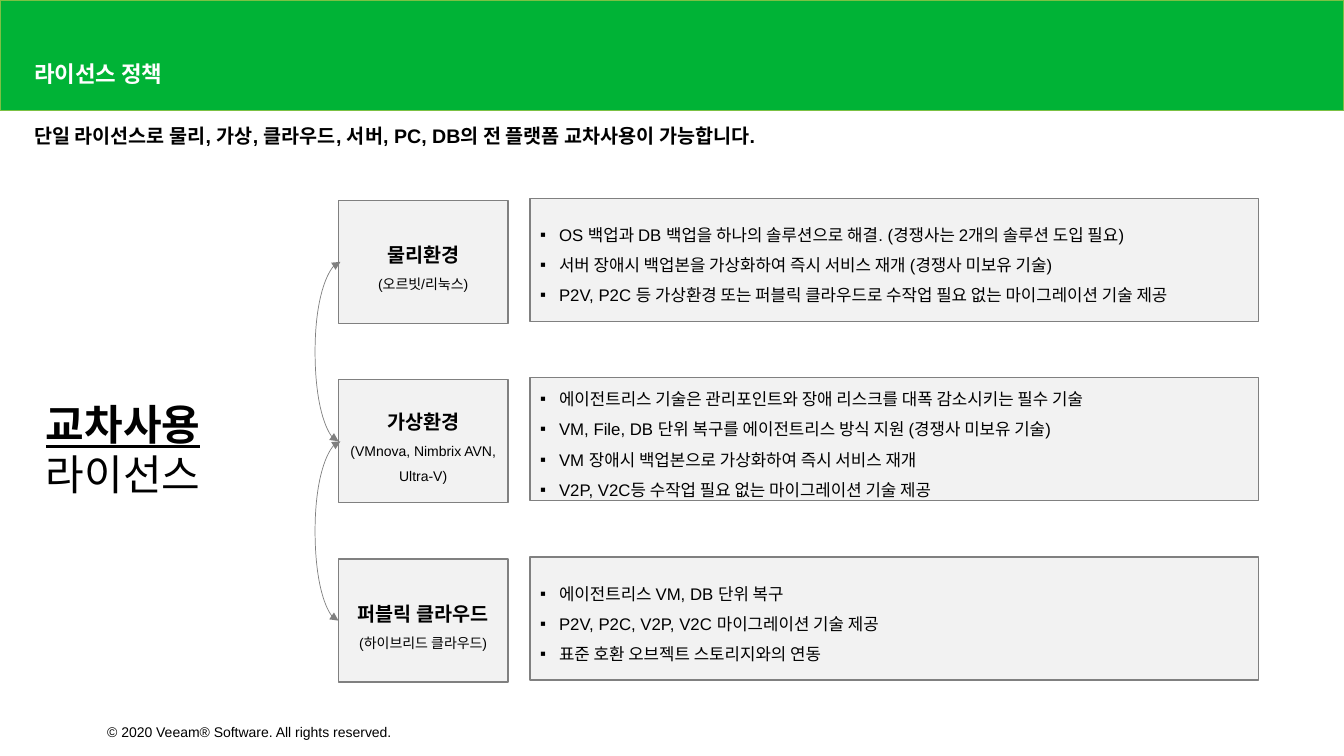
from dataclasses import dataclass

from lxml import etree
from pptx import Presentation
from pptx.dml.color import RGBColor
from pptx.enum import shapes, text
from pptx.oxml import ns
from pptx.util import Cm, Pt


@dataclass(frozen=True)
class Theme:
    font: str = "Arial"
    black: RGBColor = RGBColor(0, 0, 0)
    white: RGBColor = RGBColor(255, 255, 255)
    green: RGBColor = RGBColor(0x00, 0xB3, 0x36)
    lime: RGBColor = RGBColor(0x7B, 0xC1, 0x44)
    panel: RGBColor = RGBColor(0xF2, 0xF2, 0xF2)
    gray: RGBColor = RGBColor(0x80, 0x80, 0x80)
    hero: int = 30
    title: int = 16
    heading: int = 14
    body: int = 12
    small: int = 10


THEME = Theme()

ENVIRONMENTS = [
    ("물리환경", "(오르빗/리눅스)", [
        "OS 백업과 DB 백업을 하나의 솔루션으로 해결. (경쟁사는 2개의 솔루션 도입 필요)",
        "서버 장애시 백업본을 가상화하여 즉시 서비스 재개 (경쟁사 미보유 기술)",
        "P2V, P2C 등 가상환경 또는 퍼블릭 클라우드로 수작업 필요 없는 마이그레이션 기술 제공",
    ]),
    ("가상환경", "(VMnova, Nimbrix AVN, Ultra-V)", [
        "에이전트리스 기술은 관리포인트와 장애 리스크를 대폭 감소시키는 필수 기술",
        "VM, File, DB 단위 복구를 에이전트리스 방식 지원 (경쟁사 미보유 기술)",
        "VM 장애시 백업본으로 가상화하여 즉시 서비스 재개",
        "V2P, V2C등 수작업 필요 없는 마이그레이션 기술 제공",
    ]),
    ("퍼블릭 클라우드", "(하이브리드 클라우드)", [
        "에이전트리스 VM, DB 단위 복구",
        "P2V, P2C, V2P, V2C 마이그레이션 기술 제공",
        "표준 호환 오브젝트 스토리지와의 연동",
    ]),
]

ROW_PITCH = 4.52
ROW_HEIGHT = 3.1
LABEL_LEFT, LABEL_TOP, LABEL_WIDTH = 8.53, 5.05, 4.27
DETAIL_LEFT, DETAIL_TOP, DETAIL_WIDTH = 13.36, 5.0, 18.36
LINK_SPAN, LINK_REACH = 0.05, 0.64


def add_child(parent, tag, **attributes):
    return etree.SubElement(parent, ns.qn(tag), attributes)


def add_span(para, words, size, color=THEME.black, bold=False, underline=False):
    span = para.add_run()
    span.text = words
    font = span.font
    font.name, font.size = THEME.font, Pt(size)
    font.color.rgb = color
    font.bold, font.underline = bold, underline


def add_panel(page, left, top, width, height, fill, line):
    panel = page.shapes.add_shape(shapes.MSO_SHAPE.RECTANGLE,
                                  Cm(left), Cm(top), Cm(width), Cm(height))
    panel.shadow.inherit = False
    panel.fill.solid()
    panel.fill.fore_color.rgb = fill
    panel.line.color.rgb = line
    panel.line.width = Pt(1)
    frame = panel.text_frame
    frame.word_wrap = True
    frame.vertical_anchor = text.MSO_ANCHOR.MIDDLE
    return frame


def add_text(page, left, top, width, height, wrap=True, anchor=text.MSO_ANCHOR.TOP):
    """Add a text box and return its first paragraph."""
    box = page.shapes.add_textbox(Cm(left), Cm(top), Cm(width), Cm(height))
    box.text_frame.word_wrap = wrap
    box.text_frame.vertical_anchor = anchor
    return box.text_frame.paragraphs[0]


def next_para(frame, index, align):
    para = frame.add_paragraph() if index else frame.paragraphs[0]
    para.alignment = align
    para.line_spacing = 1.5
    return para


def add_label(page, top, name, note):
    frame = add_panel(page, LABEL_LEFT, top, LABEL_WIDTH, ROW_HEIGHT,
                      THEME.panel, THEME.gray)
    lines = [(name, THEME.heading, True), (note, THEME.small, False)]
    for index, (words, size, bold) in enumerate(lines):
        para = next_para(frame, index, text.PP_ALIGN.CENTER)
        add_span(para, words, size, bold=bold)


def add_details(page, top, points):
    frame = add_panel(page, DETAIL_LEFT, top, DETAIL_WIDTH, ROW_HEIGHT,
                      THEME.panel, THEME.gray)
    indent = Cm(0.48)
    for index, words in enumerate(points):
        para = next_para(frame, index, text.PP_ALIGN.LEFT)
        props = para._p.get_or_add_pPr()
        props.set("marL", str(int(indent)))
        props.set("indent", str(-int(indent)))
        add_child(props, "a:buFont", typeface=THEME.font)
        add_child(props, "a:buChar", char="▪")
        add_span(para, words, THEME.body)


def add_link(page, top):
    """Add a two-headed curve bulging left between two neighbouring labels."""
    link = page.shapes.add_connector(
        shapes.MSO_CONNECTOR.CURVE, Cm(LABEL_LEFT), Cm(top + ROW_PITCH),
        Cm(LABEL_LEFT + LINK_SPAN), Cm(top))
    link.line.color.rgb = THEME.gray
    link.line.width = Pt(0.5)
    props = link._element.spPr
    props.find(ns.qn("a:xfrm")).set("rot", "10800000")
    guides = props.find(ns.qn("a:prstGeom")).get_or_add_avLst()
    bulge = round(LINK_REACH / LINK_SPAN * 100000)
    add_child(guides, "a:gd", name="adj1", fmla=f"val {bulge}")
    line = link.line._get_or_add_ln()
    for end in ("a:headEnd", "a:tailEnd"):
        add_child(line, end, type="triangle")
    add_child(props, "a:effectLst")


def main():
    deck = Presentation()
    deck.slide_width, deck.slide_height = Cm(33.87), Cm(19.05)
    page = deck.slides.add_slide(deck.slide_layouts[6])

    add_panel(page, 0, 0, 33.87, 2.79, THEME.green, THEME.lime)
    footer = add_text(page, 2.34, 18.11, 7.77, 0.69, wrap=False)
    footer.alignment = text.PP_ALIGN.RIGHT
    add_span(footer, "© 2020 Veeam® Software. All rights reserved.", THEME.small)

    title = add_text(page, 0.61, 1.5, 20, 0.79, anchor=text.MSO_ANCHOR.MIDDLE)
    title.line_spacing = 0.9
    add_span(title, "라이선스 정책", THEME.title, THEME.white, bold=True)
    summary = add_text(page, 0.61, 3, 32, 3)
    add_span(summary, "단일 라이선스로 물리, 가상, 클라우드, 서버, PC, DB의 전 플랫폼 "
             "교차사용이 가능합니다.", THEME.heading, bold=True)

    for row, (name, note, points) in enumerate(ENVIRONMENTS):
        add_label(page, LABEL_TOP + row * ROW_PITCH, name, note)
        add_details(page, DETAIL_TOP + row * ROW_PITCH, points)
    for row in range(len(ENVIRONMENTS) - 1):
        add_link(page, LABEL_TOP + ROW_HEIGHT / 2 + row * ROW_PITCH)

    hero = add_text(page, 0.91, 9.91, 5.26, 2.82)
    add_span(hero, "교차사용", THEME.hero, bold=True, underline=True)
    add_span(hero, " 라이선스", THEME.hero)

    deck.save("out.pptx")


if __name__ == "__main__":
    main()
